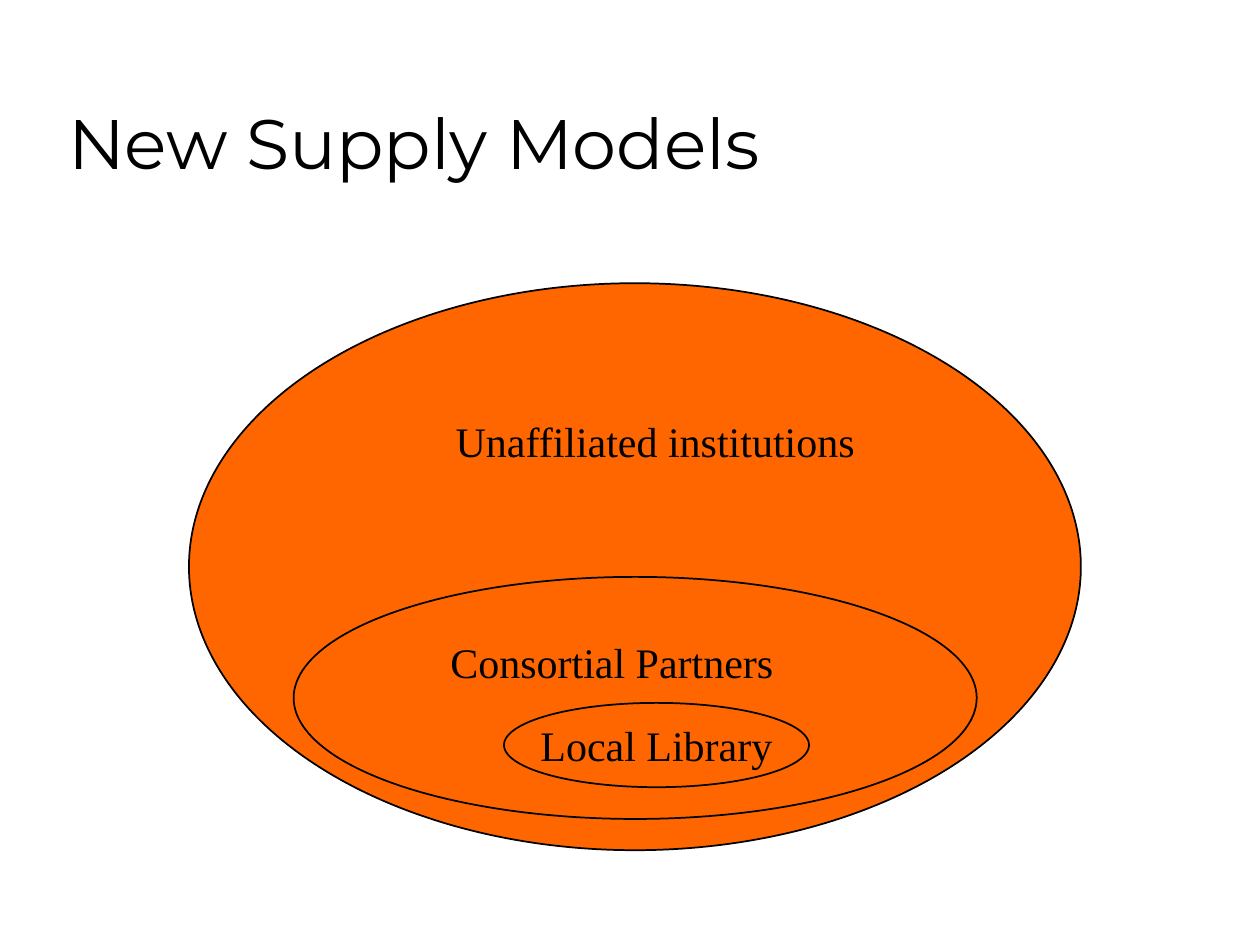
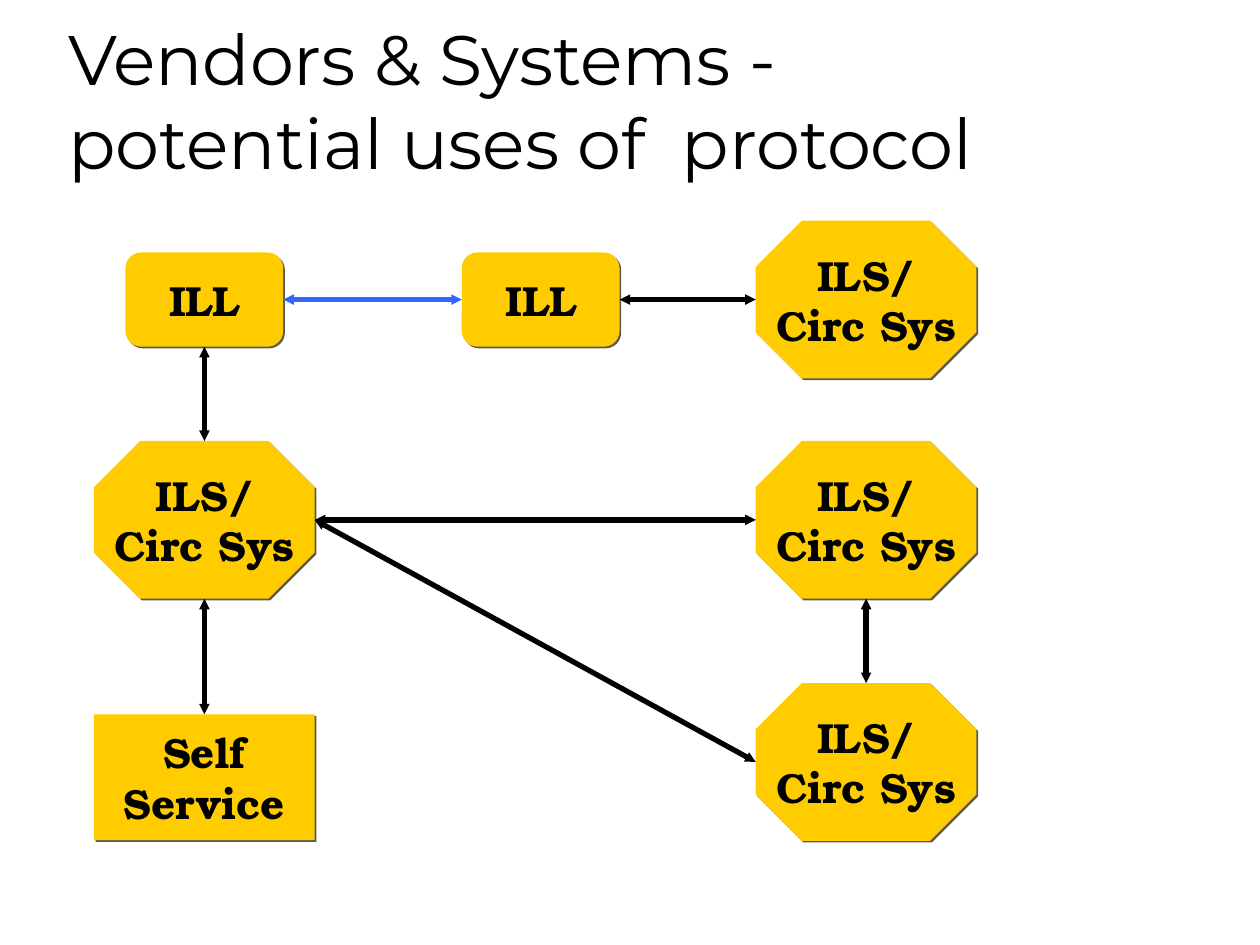
from lxml import etree
from pptx import Presentation
from pptx.dml.color import RGBColor
from pptx.enum.shapes import MSO_CONNECTOR, MSO_SHAPE
from pptx.enum.text import MSO_ANCHOR, MSO_AUTO_SIZE, PP_ALIGN
from pptx.oxml.ns import qn
from pptx.util import Cm, Pt

OVAL, OCTAGON = MSO_SHAPE.OVAL, MSO_SHAPE.OCTAGON
ROUNDED, RECTANGLE = MSO_SHAPE.ROUNDED_RECTANGLE, MSO_SHAPE.RECTANGLE
STRAIGHT = MSO_CONNECTOR.STRAIGHT
MIDDLE, BOTTOM_ANCHOR = MSO_ANCHOR.MIDDLE, MSO_ANCHOR.BOTTOM
LEFT_ALIGN, CENTER = PP_ALIGN.LEFT, PP_ALIGN.CENTER
NO_AUTOFIT = MSO_AUTO_SIZE.NONE

TOP, LEFT, BOTTOM, RIGHT = range(4)
COLORS = {"text": "000000", "oval": "FF6600", "node": "FFCC00",
          "shadow": "5E574E", "link": "000000", "ill_link": "3366FF"}
TITLE_FONT, OVAL_FONT, NODE_FONT = "Montserrat", "Times New Roman", "TeX Gyre Bonum"
TITLE_BOX = (1.12, 0.64, 21.59, 3.18)

SUPPLY_BOX = (3.81, 5.71, 17.98, 11.43)
OVALS = [
    ((0, 0, 17.98, 11.43), ""),
    ((2.11, 5.92, 13.77, 4.88), ""),
    ((6.35, 8.46, 6.15, 1.7), "Local Library"),
]
OVAL_LABELS = [
    ((2.34, 6.99, 12.37, 1.27), "Consortial Partners"),
    ((2.62, 2.54, 13.56, 1.27), "Unaffiliated institutions"),
]

NETWORK_BOX = (1.9, 4.45, 17.78, 12.5)
LEFT_COLUMN, MIDDLE_COLUMN, RIGHT_COLUMN = 2.22, 9, 15.56
ILL_ROW, CIRCULATION_ROW, LAST_ROW, SERVICE_ROW = 1.59, 6.03, 10.91, 11.22
NODE_KINDS = {
    "ill": (ROUNDED, 3.18, 1.9, "ILL"),
    "circulation": (OCTAGON, 4.45, 3.18, "ILS/\nCirc Sys"),
    "service": (RECTANGLE, 4.45, 2.54, "Self\nService"),
}
NODES = {
    "local circulation": ("circulation", LEFT_COLUMN, CIRCULATION_ROW),
    "local ill": ("ill", LEFT_COLUMN, ILL_ROW),
    "partner ill": ("ill", MIDDLE_COLUMN, ILL_ROW),
    "third circulation": ("circulation", RIGHT_COLUMN, LAST_ROW),
    "first circulation": ("circulation", RIGHT_COLUMN, ILL_ROW),
    "self service": ("service", LEFT_COLUMN, SERVICE_ROW),
    "second circulation": ("circulation", RIGHT_COLUMN, CIRCULATION_ROW),
}
LINKS = [
    ("local ill", BOTTOM, "local circulation", TOP, "link"),
    ("partner ill", RIGHT, "first circulation", LEFT, "link"),
    ("local ill", RIGHT, "partner ill", LEFT, "ill_link"),
    ("local circulation", RIGHT, "third circulation", LEFT, "link"),
    ("self service", TOP, "local circulation", BOTTOM, "link"),
    ("local circulation", RIGHT, "second circulation", LEFT, "link"),
    ("third circulation", TOP, "second circulation", BOTTOM, "link"),
]


def color(name):
    return RGBColor.from_string(COLORS[name])


def place(box, parent=(0, 0)):
    left, top, width, height = box
    return Cm(parent[0] + left), Cm(parent[1] + top), Cm(width), Cm(height)


def write(shape, text, font_name, size, bold=False, align=CENTER):
    shape.text_frame.text = text
    for paragraph in shape.text_frame.paragraphs:
        paragraph.alignment = align
        font = paragraph.font
        font.name, font.size, font.bold = font_name, Pt(size), bold
        font.color.rgb = color("text")


def add_title_slide(presentation, text):
    slide = presentation.slides.add_slide(presentation.slide_layouts[5])
    title = slide.shapes.title
    title.left, title.top, title.width, title.height = place(TITLE_BOX)
    write(title, text, TITLE_FONT, 40, align=LEFT_ALIGN)
    title.text_frame.vertical_anchor = BOTTOM_ANCHOR
    title.text_frame.auto_size = NO_AUTOFIT
    return slide


def add_filled_shape(slide, kind, position, fill):
    shape = slide.shapes.add_shape(kind, *position)
    shape.shadow.inherit = False
    shape.fill.solid()
    shape.fill.fore_color.rgb = color(fill)
    shape.text_frame.vertical_anchor = MIDDLE
    shape.text_frame.word_wrap = False
    return shape


def add_supply_ovals(slide, box):
    for oval_box, text in OVALS:
        oval = add_filled_shape(slide, OVAL, place(oval_box, box), "oval")
        oval.line.color.rgb = color("text")
        oval.line.width = Pt(1)
        if text:
            write(oval, text, OVAL_FONT, 24)
    for label_box, text in OVAL_LABELS:
        label = slide.shapes.add_textbox(*place(label_box, box))
        label.text_frame.word_wrap = True
        write(label, text, OVAL_FONT, 24)


def add_hard_shadow(shape):
    effects = shape._element.spPr.find(qn("a:effectLst"))
    shadow = etree.SubElement(effects, qn("a:outerShdw"), blurRad="0",
                              dist=str(Pt(1.4)), dir=str(45 * 60000),
                              algn="ctr", rotWithShape="0")
    etree.SubElement(shadow, qn("a:srgbClr"), val=COLORS["shadow"])


def add_node(slide, box, kind, center_x, center_y):
    preset, width, height, text = NODE_KINDS[kind]
    node_box = (center_x - width / 2, center_y - height / 2, width, height)
    node = add_filled_shape(slide, preset, place(node_box, box), "node")
    node.line.fill.background()
    add_hard_shadow(node)
    write(node, text, NODE_FONT, 24, bold=True)
    return node


def side_middle(shape, side):
    x_share, y_share = {TOP: (0.5, 0), LEFT: (0, 0.5),
                        BOTTOM: (0.5, 1), RIGHT: (1, 0.5)}[side]
    return (round(shape.left + shape.width * x_share),
            round(shape.top + shape.height * y_share))


def add_link(slide, start, start_side, end, end_side, color_name):
    connector = slide.shapes.add_connector(
        STRAIGHT, *side_middle(start, start_side), *side_middle(end, end_side))
    if start.auto_shape_type != OCTAGON:
        connector.begin_connect(start, start_side)
    if end.auto_shape_type != OCTAGON:
        connector.end_connect(end, end_side)
    connector.line.color.rgb = color(color_name)
    connector.line.width = Pt(3)
    line = connector.line._get_or_add_ln()
    for end_tag in ("a:headEnd", "a:tailEnd"):
        etree.SubElement(line, qn(end_tag), type="triangle", w="sm", len="sm")
    etree.SubElement(connector._element.spPr, qn("a:effectLst"))


def add_system_network(slide, box):
    nodes = {name: add_node(slide, box, *node) for name, node in NODES.items()}
    for start, start_side, end, end_side, color_name in LINKS:
        add_link(slide, nodes[start], start_side, nodes[end], end_side, color_name)


def main():
    presentation = Presentation()
    presentation.slide_width, presentation.slide_height = Cm(25.4), Cm(19.05)
    add_supply_ovals(add_title_slide(presentation, "New Supply Models"), SUPPLY_BOX)
    add_system_network(
        add_title_slide(presentation, "Vendors & Systems - \vpotential uses of  protocol"),
        NETWORK_BOX)
    presentation.save("out.pptx")


if __name__ == "__main__":
    main()
